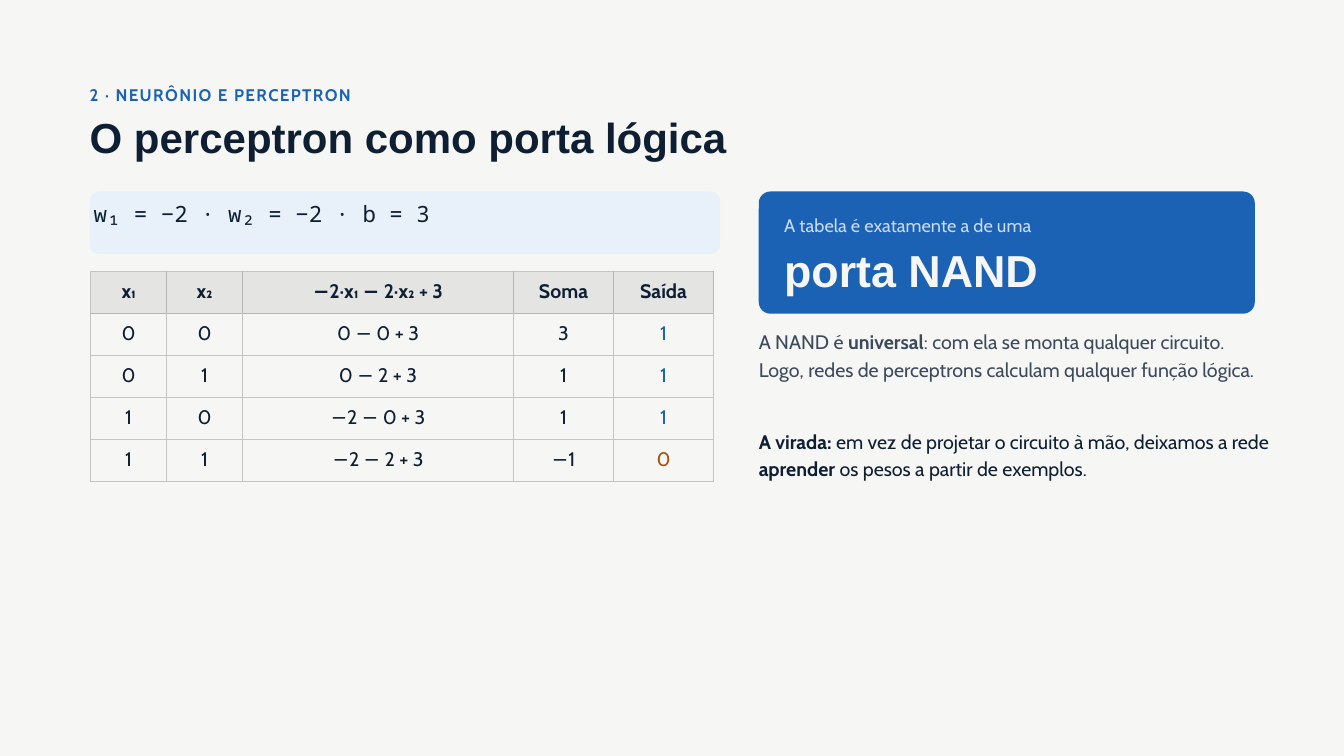
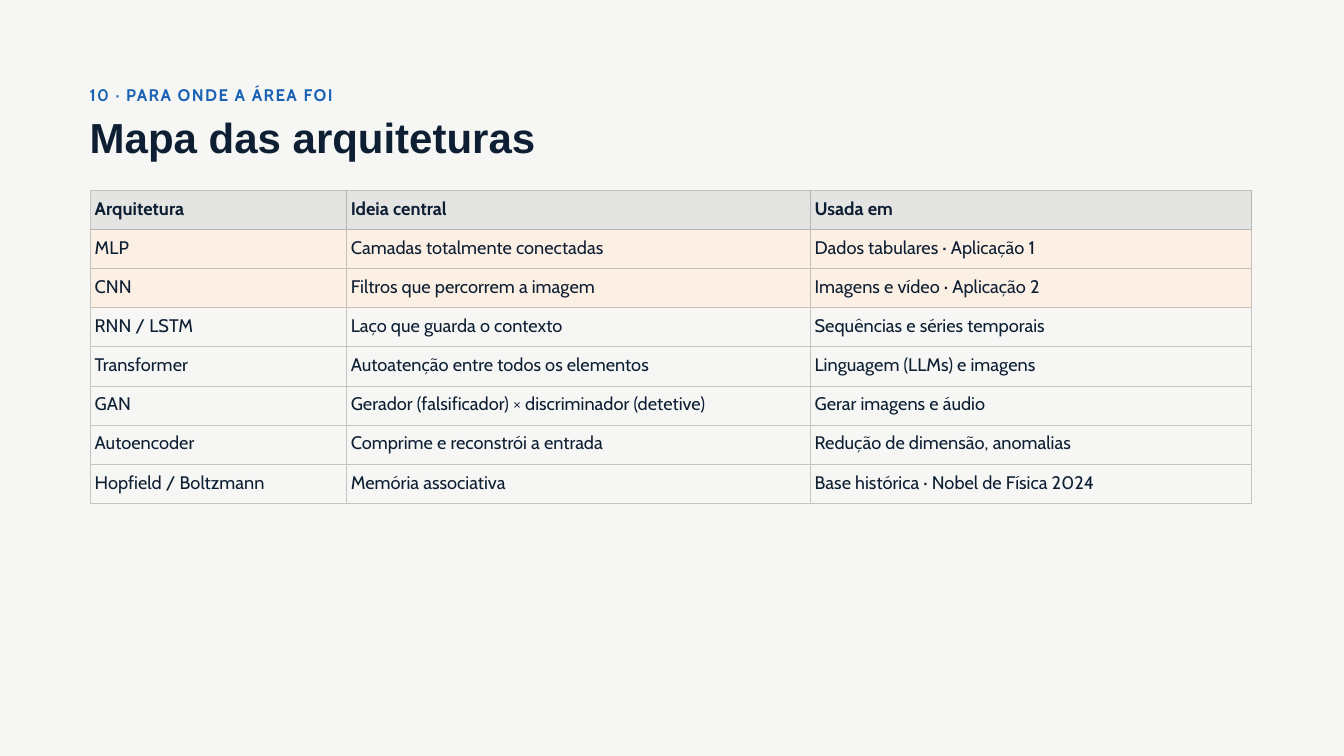
import dataclasses

import pptx
import pptx.dml.color
import pptx.enum.shapes
import pptx.enum.text
import pptx.oxml
import pptx.oxml.ns
import pptx.util
from pptx.util import Cm


@dataclasses.dataclass(frozen=True)
class TextStyle:
    font: str
    size: float
    color: str
    bold: bool = False
    leading: float = 1.4
    tracking: int = 0


class Theme:
    paper, ink, blue, orange = "F6F7F4", "0E1F33", "1B62B5", "A9520E"
    pale_blue = "E8F0FA"
    # Row looks: fill and edge colour
    header_row = ("E4E5E2", "B6B7B4")
    plain_row = (None, "C4C5C3")
    marked_row = ("FCEFE3", "C9BFB5")

    section = TextStyle("Cabin", 18, blue, True, tracking=150)
    title = TextStyle("Arial", 45, ink, True, leading=1.1)
    formula = TextStyle("Noto Sans Mono", 24, ink)
    card_lead = TextStyle("Cabin", 19.5, "C9DAF0")
    card_name = TextStyle("Arial", 48, paper, True, leading=1)
    body = TextStyle("Cabin", 21, ink)
    body_bold = dataclasses.replace(body, bold=True)
    note = dataclasses.replace(body, color="3D4A5C")
    note_bold = dataclasses.replace(note, bold=True)
    small = dataclasses.replace(body, size=19.5)
    output_one = dataclasses.replace(body, color=blue)
    output_zero = dataclasses.replace(body, color=orange)


def write(text_frame, runs, alignment=pptx.enum.text.PP_ALIGN.LEFT, margins=(0, 0)):
    """Fill a text frame with one paragraph; margins are horizontal, vertical in cm."""
    text_frame.word_wrap = True
    text_frame.auto_size = pptx.enum.text.MSO_AUTO_SIZE.NONE
    text_frame.vertical_anchor = pptx.enum.text.MSO_ANCHOR.TOP
    text_frame.margin_left = text_frame.margin_right = Cm(margins[0])
    text_frame.margin_top = text_frame.margin_bottom = Cm(margins[1])
    paragraph = text_frame.paragraphs[0]
    paragraph.alignment = alignment
    first_style = runs[0][1]
    paragraph.line_spacing = pptx.util.Pt(first_style.size * first_style.leading)
    for text, style in runs:
        run = paragraph.add_run()
        run.text = text
        run.font.name = style.font
        run.font.size = pptx.util.Pt(style.size)
        run.font.bold = style.bold
        run.font.color.rgb = pptx.dml.color.RGBColor.from_string(style.color)
        if style.tracking:
            run._r.get_or_add_rPr().set("spc", str(style.tracking))


def add_grid(slide, top, widths, row_height, rows, style, alignment, margin, marked=(), cell_styles=None):
    """Add a table whose first row is a header; marked lists highlighted rows."""
    frame = slide.shapes.add_table(len(rows), len(widths), Cm(3.43), Cm(top),
                                   Cm(sum(widths)), Cm(row_height * len(rows)))
    table = frame.table
    table.first_row = table.horz_banding = False
    for column, width in zip(table.columns, widths):
        column.width = Cm(width)
    outer_edge = edge_above = Theme.plain_row[1]
    for row_index, texts in enumerate(rows):
        table.rows[row_index].height = Cm(row_height)
        look = Theme.plain_row
        if row_index == 0:
            look = Theme.header_row
        elif row_index in marked:
            look = Theme.marked_row
        fill, edge = look
        for column_index, text in enumerate(texts):
            cell = table.cell(row_index, column_index)
            cell_style = (cell_styles or {}).get((row_index, column_index), style)
            if row_index == 0:
                cell_style = dataclasses.replace(style, bold=True)
            write(cell.text_frame, [(text, cell_style)], alignment)
            cell.margin_left = cell.margin_right = Cm(margin)
            cell.margin_top = cell.margin_bottom = Cm(margin)
            cell.vertical_anchor = pptx.enum.text.MSO_ANCHOR.TOP
            left_edge = edge if column_index else outer_edge
            properties = cell._tc.get_or_add_tcPr()
            for side, color in zip("LRTB", (left_edge, edge, edge_above, edge)):
                properties.append(pptx.oxml.parse_xml(
                    f'<a:ln{side} {pptx.oxml.ns.nsdecls("a")} w="12700"><a:solidFill>'
                    f'<a:srgbClr val="{color}"/></a:solidFill></a:ln{side}>'))
            if fill:
                cell.fill.solid()
                cell.fill.fore_color.rgb = pptx.dml.color.RGBColor.from_string(fill)
            else:
                cell.fill.background()
        edge_above = edge


presentation = pptx.Presentation()
presentation.slide_width, presentation.slide_height = Cm(50.8), Cm(28.58)

# Shared background
background = presentation.slide_master.background.fill
background.solid()
background.fore_color.rgb = pptx.dml.color.RGBColor.from_string(Theme.paper)

# Shared section label and title
slides = []
for section, title in [
    ("2 · NEURÔNIO E PERCEPTRON", "O perceptron como porta lógica"),
    ("10 · PARA ONDE A ÁREA FOI", "Mapa das arquiteturas"),
]:
    slide = presentation.slides.add_slide(presentation.slide_layouts[5])
    label = slide.shapes.add_textbox(Cm(3.39), Cm(3.07), Cm(45.34), Cm(1.09))
    write(label.text_frame, [(section, Theme.section)])
    heading = slide.shapes.title
    heading.left, heading.top, heading.width, heading.height = Cm(3.39), Cm(4.39), Cm(45.34), Cm(1.8)
    write(heading.text_frame, [(title, Theme.title)])
    slides.append(slide)
gate_slide, map_slide = slides

# Gate slide: formula band and blue card
panels = []
for left, width, height, radius, color in [
    (3.39, 23.83, 2.36, 0.38, Theme.pale_blue),
    (28.68, 18.75, 4.62, 0.44, Theme.blue),
]:
    panel = gate_slide.shapes.add_shape(pptx.enum.shapes.MSO_SHAPE.ROUNDED_RECTANGLE,
                                        Cm(left), Cm(7.24), Cm(width), Cm(height))
    panel.adjustments[0] = radius / height
    panel.shadow.inherit = False
    panel.fill.solid()
    panel.fill.fore_color.rgb = pptx.dml.color.RGBColor.from_string(color)
    panel.line.fill.background()
    panels.append(panel)
write(panels[0].text_frame, [("w₁ = −2 · w₂ = −2 · b = 3", Theme.formula)], margins=(0.04, 0.05))

# Gate slide: truth table
truth_rows = [
    ("x₁", "x₂", "−2·x₁ − 2·x₂ + 3", "Soma", "Saída"),
    ("0", "0", "0 − 0 + 3", "3", "1"),
    ("0", "1", "0 − 2 + 3", "1", "1"),
    ("1", "0", "−2 − 0 + 3", "1", "1"),
    ("1", "1", "−2 − 2 + 3", "−1", "0"),
]
output_styles = {
    (index, 4): Theme.output_one if row[4] == "1" else Theme.output_zero
    for index, row in enumerate(truth_rows)
}
add_grid(gate_slide, 10.26, (2.87, 2.87, 10.24, 3.78, 3.78), 1.59, truth_rows, Theme.body,
         pptx.enum.text.PP_ALIGN.CENTER, 0.18, cell_styles=output_styles)

# Gate slide: card text and conclusions
for left, top, width, height, runs in [
    (29.64, 7.98, 17.32, 1.17, [("A tabela é exatamente a de uma", Theme.card_lead)]),
    (29.64, 9.5, 17.32, 1.63, [("porta NAND", Theme.card_name)]),
    (28.68, 12.34, 19.35, 3.35, [
        ("A NAND é ", Theme.note),
        ("universal", Theme.note_bold),
        (": com ela se monta qualquer circuito. Logo, redes de perceptrons "
         "calculam qualquer função lógica.", Theme.note)]),
    (28.68, 16.1, 19.35, 2.31, [
        ("A virada:", Theme.body_bold),
        (" em vez de projetar o circuito à mão, deixamos a rede ", Theme.body),
        ("aprender", Theme.body_bold),
        (" os pesos a partir de exemplos.", Theme.body)]),
]:
    text_box = gate_slide.shapes.add_textbox(Cm(left), Cm(top), Cm(width), Cm(height))
    write(text_box.text_frame, runs)

# Map slide: architecture table
architecture_rows = [
    ("Arquitetura", "Ideia central", "Usada em"),
    ("MLP", "Camadas totalmente conectadas", "Dados tabulares · Aplicação 1"),
    ("CNN", "Filtros que percorrem a imagem", "Imagens e vídeo · Aplicação 2"),
    ("RNN / LSTM", "Laço que guarda o contexto", "Sequências e séries temporais"),
    ("Transformer", "Autoatenção entre todos os elementos", "Linguagem (LLMs) e imagens"),
    ("GAN", "Gerador (falsificador) × discriminador (detetive)", "Gerar imagens e áudio"),
    ("Autoencoder", "Comprime e reconstrói a entrada", "Redução de dimensão, anomalias"),
    ("Hopfield / Boltzmann", "Memória associativa", "Base histórica · Nobel de Física 2024"),
]
add_grid(map_slide, 7.19, (9.68, 17.53, 16.66), 1.48, architecture_rows, Theme.small,
         pptx.enum.text.PP_ALIGN.LEFT, 0.15, marked=(1, 2))

presentation.save("out.pptx")
